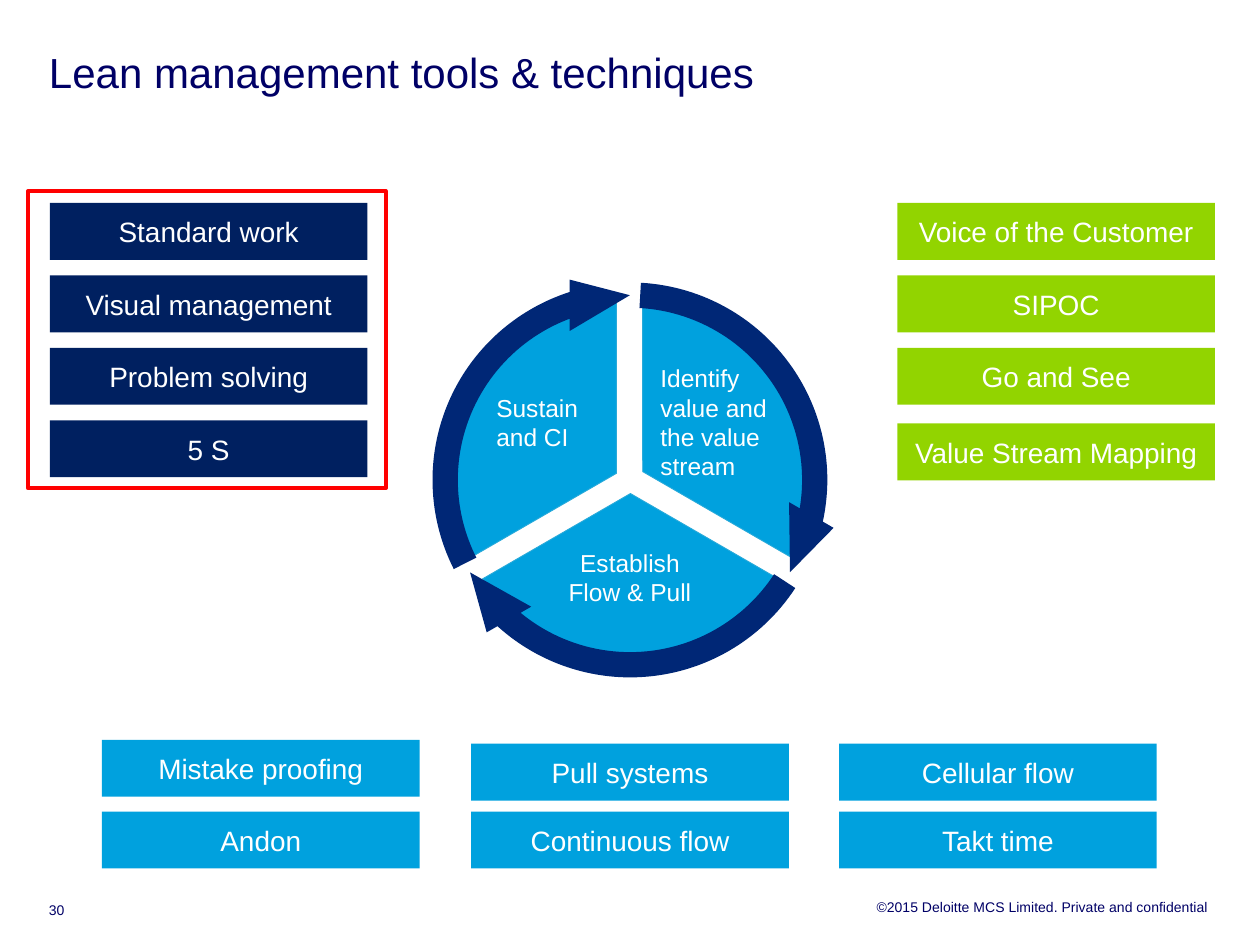
from pptx import Presentation
from pptx.dml.color import RGBColor
from pptx.enum.shapes import MSO_SHAPE as Shape
from pptx.enum.text import MSO_ANCHOR as Anchor, PP_ALIGN as Align
from pptx.util import Pt

WHITE = RGBColor(0xFF, 0xFF, 0xFF)
INK = RGBColor(0x00, 0x00, 0x66)
NAVY = RGBColor(0x00, 0x20, 0x60)
DEEP = RGBColor(0x00, 0x27, 0x76)
BLUE = RGBColor(0x00, 0xA1, 0xDE)
EDGE = RGBColor(0x28, 0xAA, 0xDA)
GREEN = RGBColor(0x92, 0xD4, 0x00)
RED = RGBColor(0xFF, 0x00, 0x00)

TILE_W, TILE_H = 181.5, 32.5


def add_text(slide, box, text, size, color, align=Align.LEFT, inset=(0, 0), anchor=Anchor.TOP):
    """Place one paragraph of text in a box and return the paragraph."""
    frame = slide.shapes.add_textbox(*map(Pt, box)).text_frame
    frame.word_wrap = True
    frame.vertical_anchor = anchor
    frame.margin_left = frame.margin_right = Pt(inset[0])
    frame.margin_top = frame.margin_bottom = Pt(inset[1])
    return set_text(frame, text, size, color, align)


def set_text(frame, text, size, color, align):
    """Fill the first paragraph of a frame and return it."""
    para = frame.paragraphs[0]
    para.text = text
    para.alignment = align
    para.font.name = "Arial"
    para.font.size = Pt(size)
    para.font.color.rgb = color
    return para


def add_form(slide, kind, box, fill=None, line=None, width=0.5, turn=0, adjust=()):
    """Place a flat preset shape in a box."""
    form = slide.shapes.add_shape(kind, *map(Pt, box))
    form.shadow.inherit = False
    form.rotation = turn
    for i, value in enumerate(adjust):
        form.adjustments[i] = value
    if fill is None:
        form.fill.background()
    else:
        form.fill.solid()
        form.fill.fore_color.rgb = fill
    if line is None:
        form.line.fill.background()
    else:
        form.line.color.rgb = line
        form.line.width = Pt(width)
    return form


def add_stack(slide, left, tops, labels, fill):
    """Place a column of labelled tiles at the given tops."""
    for top, label in zip(tops, labels):
        tile = add_form(slide, Shape.RECTANGLE, (left, top, TILE_W, TILE_H), fill)
        frame = tile.text_frame
        frame.word_wrap = True
        frame.vertical_anchor = Anchor.MIDDLE
        frame.margin_left = frame.margin_right = Pt(3)
        frame.margin_top = frame.margin_bottom = Pt(3)
        set_text(frame, label, 16, WHITE, Align.CENTER).line_spacing = 1.02


def add_wheel(slide, left, top, size):
    """Place the cycle of three slices, each with its arrow and label."""
    slice_size = 195
    arrow = (0.06, 11.423, 204.577, 145.91, 0.061)
    parts = [
        (15, 19, 0, 270, "Sustain and CI", (36.75, 67, 75.5, 41), Align.LEFT),
        (30, 18, 120, 30, "Identify value and the value stream", (130.5, 50, 85.5, 75), Align.LEFT),
        (23, 30.5, 240, 150, "Establish Flow & Pull", (77, 155.5, 86.5, 58), Align.CENTER),
    ]
    for dx, dy, turn, spin, label, (x, y, w, h), align in parts:
        add_form(slide, Shape.PIE, (left + dx, top + dy, slice_size, slice_size),
                 BLUE, EDGE, turn=turn, adjust=(89.996, 162))
        add_form(slide, Shape.CIRCULAR_ARROW, (left, top, size, size),
                 DEEP, turn=spin, adjust=arrow)
        add_text(slide, (left + x, top + y, w, h), label, 14, WHITE, align, (7.2, 3.6))


def add_frame(slide):
    """Place the title, page number and copyright line."""
    title = add_text(slide, (28, 29.5, 681, 44), "Lean management tools & techniques", 24, INK)
    title.line_spacing = Pt(26)
    add_text(slide, (28, 515.5, 28, 9.5), "30", 8, INK, anchor=Anchor.BOTTOM)
    add_text(slide, (245, 513.25, 445.5, 9.5),
             "©2015 Deloitte MCS Limited. Private and confidential", 8, INK, Align.RIGHT)


def main():
    """Build the slide and save it."""
    deck = Presentation()
    deck.slide_width, deck.slide_height = Pt(720), Pt(540)
    slide = deck.slides.add_slide(deck.slide_layouts[6])
    add_frame(slide)
    add_wheel(slide, 239.75, 154, 240.5)
    tops = [116 + 41.4 * i for i in range(4)]
    add_stack(slide, 28.5, tops,
              ["Standard work", "Visual management", "Problem solving", "5 S"], NAVY)
    add_stack(slide, 512.75, tops[:3] + [242],
              ["Voice of the Customer", "SIPOC", "Go and See", "Value Stream Mapping"], GREEN)
    for left, top, labels in [
        (58.25, 422.75, ["Mistake proofing", "Andon"]),
        (269.25, 425, ["Pull systems", "Continuous flow"]),
        (479.5, 425, ["Cellular flow", "Takt time"]),
    ]:
        add_stack(slide, left, (top, 463.75), labels, BLUE)
    add_form(slide, Shape.RECTANGLE, (16, 109.25, 204.5, 169.75), line=RED, width=2.25)
    deck.save("out.pptx")


if __name__ == "__main__":
    main()
